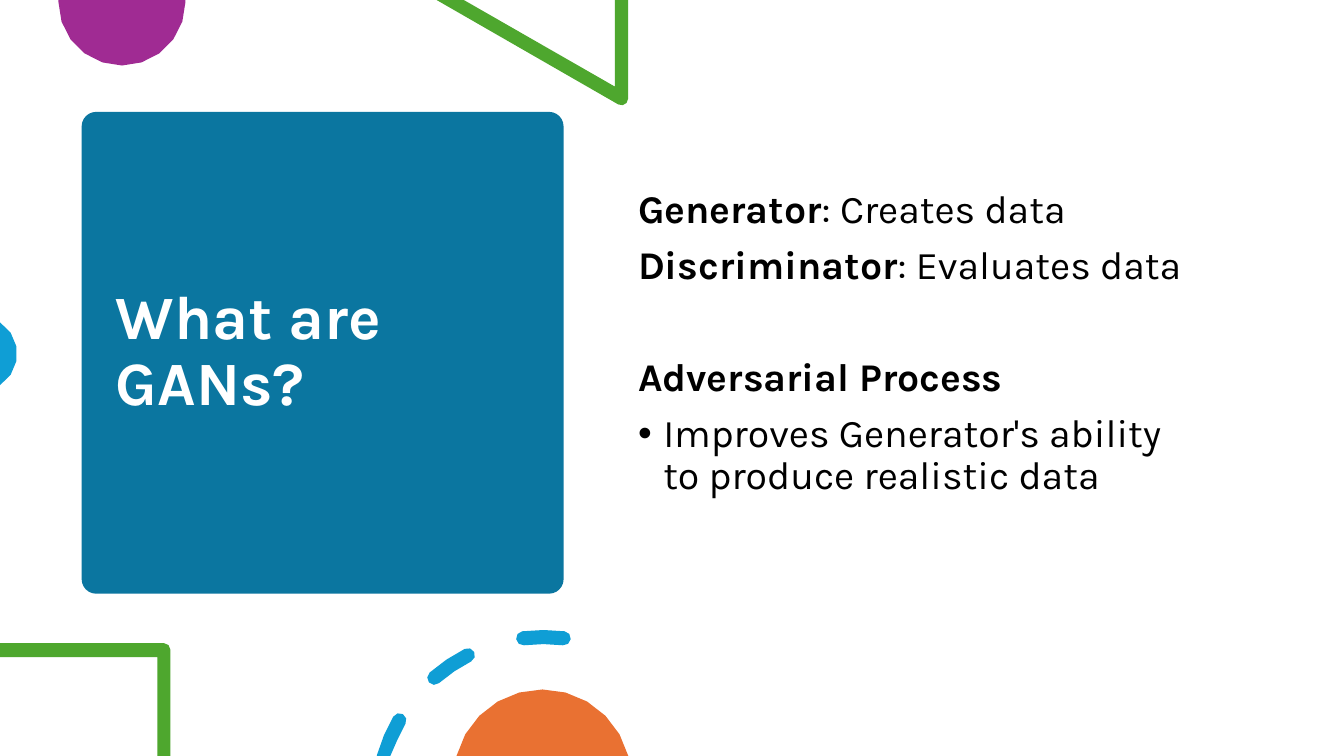
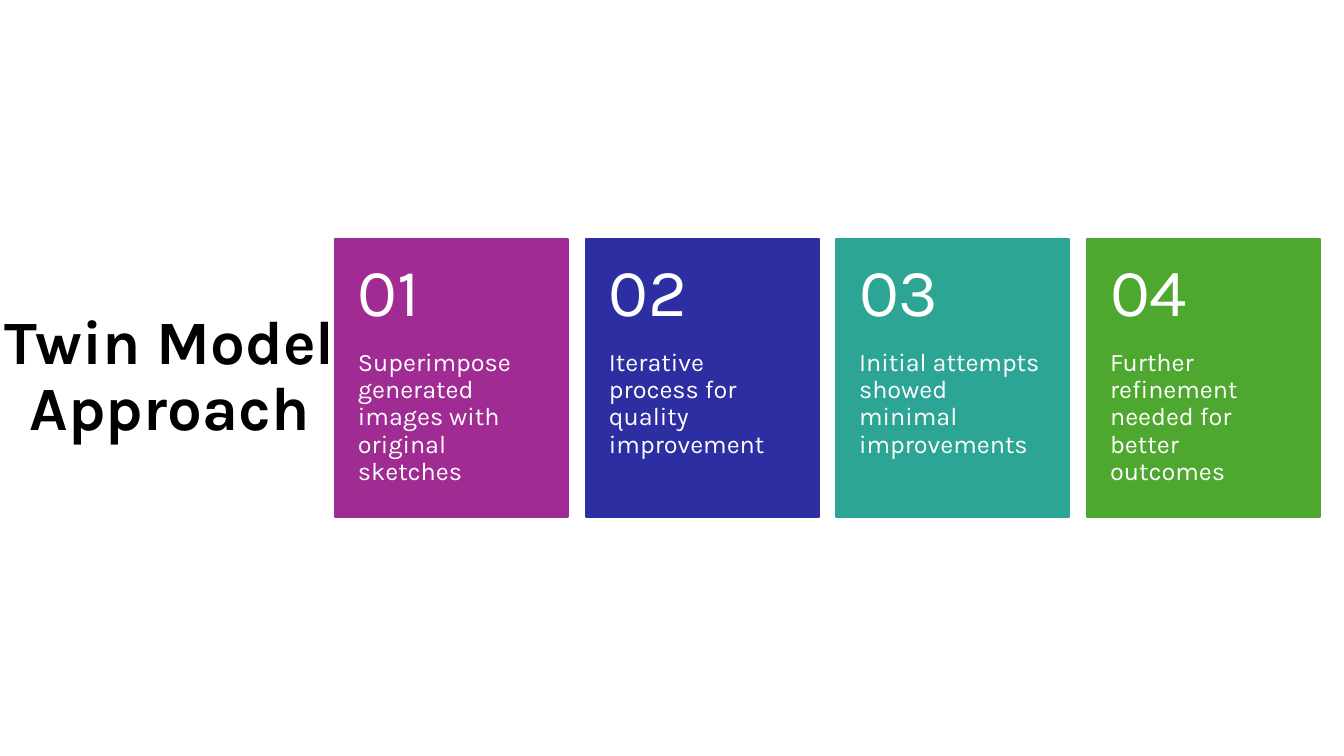
from math import ceil, cos, radians, sin, sqrt

from lxml.etree import SubElement
from pptx import Presentation
from pptx.dml.color import RGBColor
from pptx.enum.shapes import MSO_SHAPE as Preset
from pptx.enum.text import MSO_ANCHOR as Anchor, PP_ALIGN as Align
from pptx.oxml.ns import qn
from pptx.util import Pt

EMU_PER_PX = 9144
WIDTH, HEIGHT = 1333, 750
FONT = "Karla"
TITLE_SIZE, BODY_SIZE, NUMBER_SIZE, CARD_SIZE = 44, 28, 48, 18
LINE_SPACING = 0.9

BLACK = RGBColor(0x00, 0x00, 0x00)
WHITE = RGBColor(0xFF, 0xFF, 0xFF)
TEAL_BLUE = RGBColor(0x0B, 0x76, 0xA0)
SKY = RGBColor(0x0F, 0x9E, 0xD5)
PURPLE = RGBColor(0xA0, 0x2B, 0x93)
INDIGO = RGBColor(0x2C, 0x2E, 0xA2)
TEAL = RGBColor(0x2D, 0xA5, 0x94)
GREEN = RGBColor(0x4E, 0xA7, 0x2E)
ORANGE = RGBColor(0xE9, 0x71, 0x32)

BODY = [
    ([("Generator", True), (": Creates data", False)], 10, False),
    ([("Discriminator", True), (": Evaluates data", False)], 10, False),
    ([("Adversarial Process", True)], 49.5, False),
    ([("Improves Generator's ability to produce realistic data", False)], 10, True),
]
CARDS = [
    (PURPLE, "Superimpose generated images with original sketches"),
    (INDIGO, "Iterative process for quality improvement"),
    (TEAL, "Initial attempts showed minimal improvements"),
    (GREEN, "Further refinement needed for better outcomes"),
]


def px(value):
    return round(value * EMU_PER_PX)


def paint(shape, color, line_width=0):
    shape.shadow.inherit = False
    shape.fill.solid()
    shape.fill.fore_color.rgb = color
    if line_width:
        shape.line.color.rgb = color
        shape.line.width = Pt(line_width)
    else:
        shape.line.fill.background()


def add_box(slide, preset, box, color, line_width=0):
    shape = slide.shapes.add_shape(preset, *map(px, box))
    paint(shape, color, line_width)
    return shape


def add_text_frame(slide, box, anchor=Anchor.TOP, margins=(10, 5, 10, 5)):
    frame = slide.shapes.add_textbox(*map(px, box)).text_frame
    frame.word_wrap = True
    frame.vertical_anchor = anchor
    (frame.margin_left, frame.margin_top,
     frame.margin_right, frame.margin_bottom) = map(px, margins)
    return frame


def write(paragraph, runs, size, color):
    paragraph.line_spacing = LINE_SPACING
    for text, bold in runs:
        run = paragraph.add_run()
        run.text = text
        run.font.name = FONT
        run.font.size = Pt(size)
        run.font.bold = bold
        run.font.color.rgb = color


def add_title(slide, text, box, color, alignment=Align.LEFT):
    paragraph = add_text_frame(slide, box, Anchor.MIDDLE).paragraphs[0]
    paragraph.alignment = alignment
    write(paragraph, [(text, True)], TITLE_SIZE, color)


def set_bullet(paragraph):
    properties = paragraph._p.get_or_add_pPr()
    properties.set("marL", str(px(25)))
    properties.set("indent", str(px(-25)))
    SubElement(properties, qn("a:buFont")).set("typeface", "Arial")
    SubElement(properties, qn("a:buChar")).set("char", "•")


def add_body(slide, box):
    frame = add_text_frame(slide, box)
    for index, (runs, space_before, bulleted) in enumerate(BODY):
        paragraph = frame.add_paragraph() if index else frame.paragraphs[0]
        write(paragraph, runs, BODY_SIZE, BLACK)
        paragraph.space_before = Pt(space_before)
        if bulleted:
            set_bullet(paragraph)


def arc(center, radius, start, end):
    steps = max(2, ceil(abs(end - start) * sqrt(radius) / 150))
    angles = [radians(start + (end - start) * step / steps) for step in range(steps + 1)]
    return [(center[0] + radius * cos(angle), center[1] + radius * sin(angle))
            for angle in angles]


def ring_dash(center, radius, thickness, start, end):
    half = thickness / 2
    middle = arc(center, radius, start, end)
    return (arc(center, radius + half, start, end)
            + arc(middle[-1], half, end, end + 180)[1:-1]
            + arc(center, radius - half, end, start)
            + arc(middle[0], half, start + 180, start + 360)[1:-1])


def add_outline(slide, contours, color):
    clipped = [[(px(min(max(x, 0), WIDTH)), px(min(max(y, 0), HEIGHT))) for x, y in contour]
               for contour in contours]
    builder = slide.shapes.build_freeform(*clipped[0][0])
    for index, contour in enumerate(clipped):
        if index:
            builder.move_to(*contour[0])
        builder.add_line_segments(contour[1:], close=True)
    paint(builder.convert_to_shape(), color)


def add_decorations(slide):
    half_disc = [(58, 0), (184, 0)] + arc((121, 2), 63, 0, 180)
    triangle = [(623, 0), (610, 0), (610, 86), (460, 0), (433, 0)]
    triangle += reversed(arc((616.5, 98), 6.5, 0, 120))
    frame = [(0, 638), (0, 652), (156, 652), (156, 750), (169, 750)]
    frame += arc((162.5, 644.5), 6.5, 0, -90)
    dashes = [ring_dash((539, 797), 165, 14, start, start + 14)
              for start in (196, 229, 263)]
    for contours, color in (
        ([half_disc], PURPLE),
        ([triangle], GREEN),
        ([arc((-20, 351), 37, -57, 57)], SKY),
        ([frame], GREEN),
        (dashes, SKY),
        ([arc((538, 772), 88, 194.5, 345.5)], ORANGE),
    ):
        add_outline(slide, contours, color)


def add_card(slide, left, number, color, text):
    top, width, height, header = 237, 231, 276, 110
    add_box(slide, Preset.RECTANGLE, (left, top, width, height), color, 1.5)
    description = add_text_frame(slide, (left, top + header, width, height - header),
                                 margins=(23, 0, 23, 36))
    write(description.paragraphs[0], [(text, False)], CARD_SIZE, WHITE)
    heading = add_text_frame(slide, (left, top, width, header), Anchor.MIDDLE,
                             (23, 18, 23, 18))
    write(heading.paragraphs[0], [(f"{number:02}", False)], NUMBER_SIZE, WHITE)


def build_definition(slide):
    panel = add_box(slide, Preset.ROUNDED_RECTANGLE, (81, 111, 478, 478), TEAL_BLUE)
    panel.adjustments[0] = 0.03
    add_title(slide, "What are GANs?", (105, 122, 431, 456), WHITE)
    add_decorations(slide)
    add_body(slide, (623, 183, 575, 385))


def build_approach(slide):
    add_title(slide, "Twin Model Approach", (-16, 298, 369, 153), BLACK, Align.CENTER)
    first, last = 332, 1078
    pitch = (last - first) / (len(CARDS) - 1)
    for index, (color, text) in enumerate(CARDS):
        add_card(slide, round(first + index * pitch), index + 1, color, text)


def main():
    presentation = Presentation()
    presentation.slide_width, presentation.slide_height = px(WIDTH), px(HEIGHT)
    blank = presentation.slide_layouts[6]
    for build in (build_definition, build_approach):
        build(presentation.slides.add_slide(blank))
    presentation.save("out.pptx")


if __name__ == "__main__":
    main()
